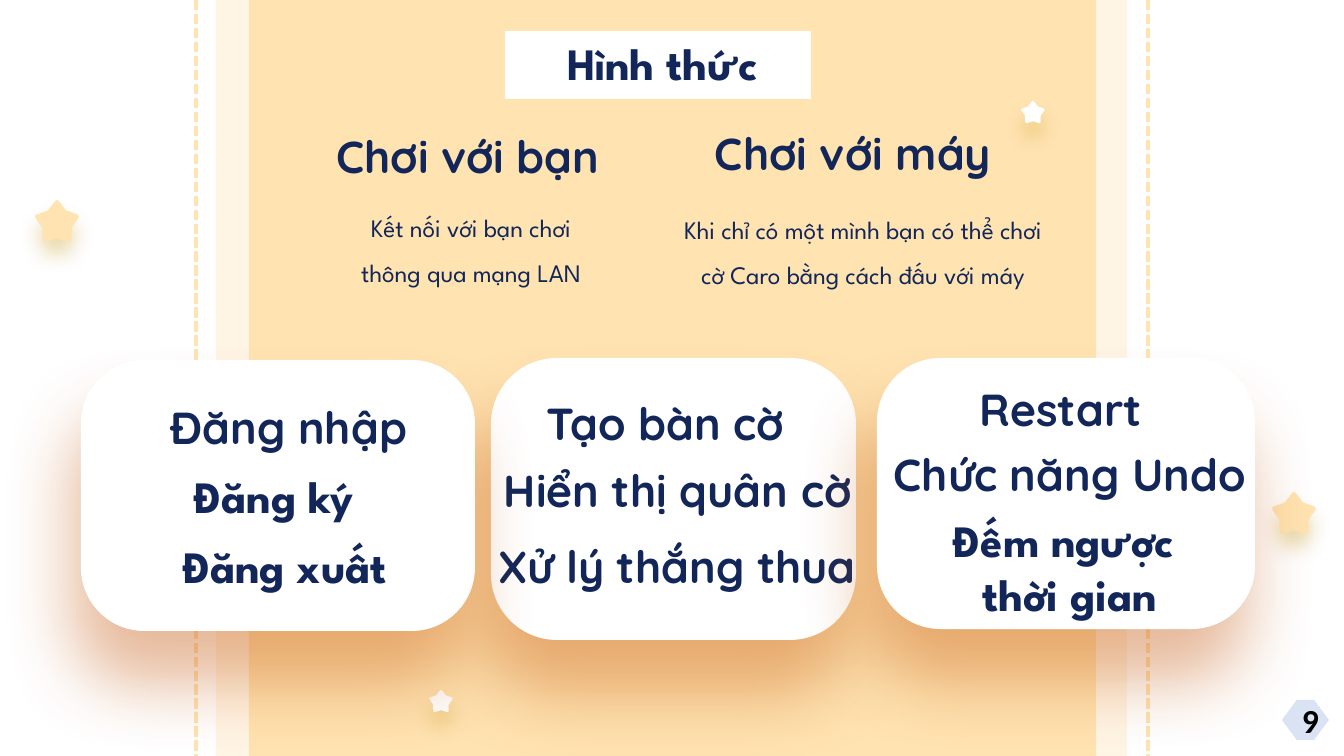
import math

from pptx import Presentation
from pptx.dml.color import RGBColor
from pptx.enum.dml import MSO_LINE
from pptx.enum.shapes import MSO_CONNECTOR, MSO_SHAPE
from pptx.enum.text import MSO_ANCHOR, MSO_AUTO_SIZE, PP_ALIGN
from pptx.oxml.ns import qn
from pptx.util import Pt
from lxml import etree

EMU_PER_PX = 914400 / 100.8
WIDTH, HEIGHT = 1344, 756
COLORS = {"cream": "FFE3B1", "white": "FFFFFF", "navy": "122659", "black": "000000",
          "badge": "DAE3F3", "rust": "C55A11", "gold": "BF9000"}
SPARTAN, QUICKSAND, CALIBRI = "League Spartan", "Quicksand", "Calibri"
# colour, opacity %, blur pt, distance pt, direction in degrees
CARD_SHADOW = ("rust", 42, 52, 38, 99)
STAR_SHADOW = ("gold", 31, 14, 10, 90)


def px(value):
    """Turn pixels into EMU."""
    return round(value * EMU_PER_PX)


def rgb(name):
    """Look up a palette colour."""
    return RGBColor.from_string(COLORS[name])


def sub(parent, tag, **attributes):
    """Append a DrawingML child element."""
    return etree.SubElement(parent, qn(tag), {k: str(v) for k, v in attributes.items()})


class Deck:
    """Holds the style and the current slide."""

    def __init__(self, slide, font=SPARTAN, color="navy"):
        """Remember the slide and the default text style."""
        self.slide, self.shapes = slide, slide.shapes
        self.font, self.color = font, color
        self.placeholders = {p.placeholder_format.idx: p for p in slide.placeholders}

    def paint(self, shape, fill, shadow=None, alpha=None):
        """Give a shape its fill, no outline, and an optional soft shadow."""
        shape.fill.solid()
        shape.fill.fore_color.rgb = rgb(fill)
        shape.line.fill.background()
        shape.shadow.inherit = False
        properties = shape._element.spPr
        if alpha:
            sub(properties.find(".//" + qn("a:srgbClr")), "a:alpha", val=alpha * 1000)
        if shadow:
            color, opacity, blur, distance, angle = shadow
            outer = sub(properties.find(qn("a:effectLst")), "a:outerShdw", blurRad=Pt(blur),
                        dist=Pt(distance), dir=angle * 60000, algn="t", rotWithShape=0)
            sub(sub(outer, "a:srgbClr", val=COLORS[color]), "a:alpha", val=opacity * 1000)
        return shape

    def box(self, bounds, fill, kind=MSO_SHAPE.RECTANGLE, adjust=None, **look):
        """Draw a preset shape."""
        shape = self.shapes.add_shape(kind, *map(px, bounds))
        if adjust is not None:
            shape.adjustments[0] = adjust
        return self.paint(shape, fill, **look)

    def dashes(self, x):
        """Draw a dashed line down the whole slide."""
        line = self.shapes.add_connector(MSO_CONNECTOR.STRAIGHT, px(x), 0, px(x), px(HEIGHT))
        line.line.color.rgb = rgb("cream")
        line.line.width = Pt(2.5)
        line.line.dash_style = MSO_LINE.SQUARE_DOT
        sub(line._element.spPr, "a:effectLst")

    def star(self, cx, cy, radius, fill):
        """Draw a five-pointed star with rounded tips."""
        def corner(step):
            """Find a tip (even step) or an inner corner (odd step)."""
            reach = radius * (0.63 if step % 2 else 1)
            angle = math.radians(36 * step - 90)
            return cx + reach * math.cos(angle), cy + reach * math.sin(angle)

        def between(a, b, t):
            """Find the point at share t of the way from a to b."""
            return tuple(u + (v - u) * t for u, v in zip(a, b))

        outline = []
        for step in range(0, 10, 2):
            tip, after = corner(step), corner(step + 1)
            start, end = between(tip, corner(step - 1), 0.26), between(tip, after, 0.26)
            for t in (0, 0.2, 0.4, 0.6, 0.8, 1):
                outline.append(between(between(start, tip, t), between(tip, end, t), t))
            outline.append(after)
        points = [(px(x), px(y)) for x, y in outline]
        builder = self.shapes.build_freeform(*points[0])
        builder.add_line_segments(points[1:], close=True)
        self.paint(builder.convert_to_shape(), fill, STAR_SHADOW)

    def fill_text(self, frame, lines, font=None, size=32, bold=True, color=None,
                  spacing=1.0, anchor=MSO_ANCHOR.TOP):
        """Fill a text frame with centred lines."""
        frame.word_wrap = True
        frame.auto_size = MSO_AUTO_SIZE.NONE
        frame.vertical_anchor = anchor
        for i, line in enumerate(lines):
            paragraph = frame.add_paragraph() if i else frame.paragraphs[0]
            paragraph.alignment = PP_ALIGN.CENTER
            paragraph.line_spacing = spacing
            paragraph.space_before = Pt(0)
            run = paragraph.add_run()
            run.text = line
            run.font.name, run.font.size, run.font.bold = font or self.font, Pt(size), bold
            run.font.color.rgb = rgb(color or self.color)

    def text(self, bounds, *lines, **style):
        """Add a free text box."""
        self.fill_text(self.shapes.add_textbox(*map(px, bounds)).text_frame, lines, **style)

    def placeholder(self, idx, bounds, *lines, **style):
        """Move a layout placeholder to the front and fill it, without bullets."""
        shape = self.placeholders[idx]
        shape.left, shape.top, shape.width, shape.height = map(px, bounds)
        self.shapes._spTree.append(shape._element)
        self.fill_text(shape.text_frame, lines, **style)
        for paragraph in shape.text_frame.paragraphs:
            properties = paragraph._p.get_or_add_pPr()
            properties.set("marL", "0")
            properties.set("indent", "0")
            sub(properties, "a:buNone")


prs = Presentation()
prs.slide_width, prs.slide_height = px(WIDTH), px(HEIGHT)
comparison = prs.slide_layouts.get_by_name("Comparison")
deck = Deck(prs.slides.add_slide(comparison))

# Backdrop
deck.box((216, 0, 911, HEIGHT), "cream", alpha=33)
deck.box((249, 0, 847, HEIGHT), "cream")
for x in (196, 1148):
    deck.dashes(x)

# Title and the two ways to play
deck.box((505, 31, 306, 68), "white")
deck.placeholder(0, (538, 31, 249, 65), "Hình thức")
HEADING = {"font": QUICKSAND, "spacing": 0.8}
BODY = {"size": 18, "bold": False, "spacing": 1.5}
deck.placeholder(1, (286, 134, 364, 57), "Chơi với bạn", **HEADING)
deck.placeholder(2, (313, 192, 316, 130),
                 "Kết nối với bạn chơi", "thông qua mạng LAN", **BODY)
deck.placeholder(3, (671, 131, 364, 57), "Chơi với máy", **HEADING)
deck.placeholder(4, (669, 194, 388, 130),
                 "Khi chỉ có một mình bạn có thể chơi cờ Caro bằng cách đấu với máy", **BODY)

for cx, cy, radius, fill in ((441, 702, 13, "white"), (1033, 113, 13, "white"),
                             (57, 223, 24.4, "cream"), (1294, 515, 24.4, "cream")):
    deck.star(cx, cy, radius, fill)

# Feature cards: bounds, then (left, top, width, font, lines)
CARDS = [
    ((491, 358, 365, 282), [
        (525, 391, 281, QUICKSAND, ["Tạo bàn cờ"]),
        (488, 458, 380, QUICKSAND, ["Hiển thị quân cờ"]),
        (487, 534, 381, QUICKSAND, ["Xử lý thắng thua"])]),
    ((877, 358, 378, 271), [
        (865, 377, 392, QUICKSAND, ["Restart"]),
        (880, 442, 380, QUICKSAND, ["Chức năng Undo"]),
        (877, 508, 386, SPARTAN, ["Đếm ngược ", "thời gian"])]),
    ((81, 360, 394, 271), [
        (156, 395, 266, QUICKSAND, ["Đăng nhập"]),
        (141, 464, 267, SPARTAN, ["Đăng ký"]),
        (152, 534, 267, SPARTAN, ["Đăng xuất"])]),
]
for bounds, features in CARDS:
    deck.box(bounds, "white", MSO_SHAPE.ROUNDED_RECTANGLE, 0.234, shadow=CARD_SHADOW)
    for left, top, width, font, lines in features:
        deck.text((left, top, width, 10 + 54 * len(lines)), *lines, font=font)

# Page number
badge = deck.box((1282, 700, 47, 40), "badge", MSO_SHAPE.HEXAGON, 0.37)
frame = badge.text_frame
frame.margin_left, frame.margin_right = px(10), 0
frame.margin_top = frame.margin_bottom = 0
deck.fill_text(frame, ["9"], font=CALIBRI, size=24, color="black", anchor=MSO_ANCHOR.MIDDLE)

prs.save("out.pptx")
